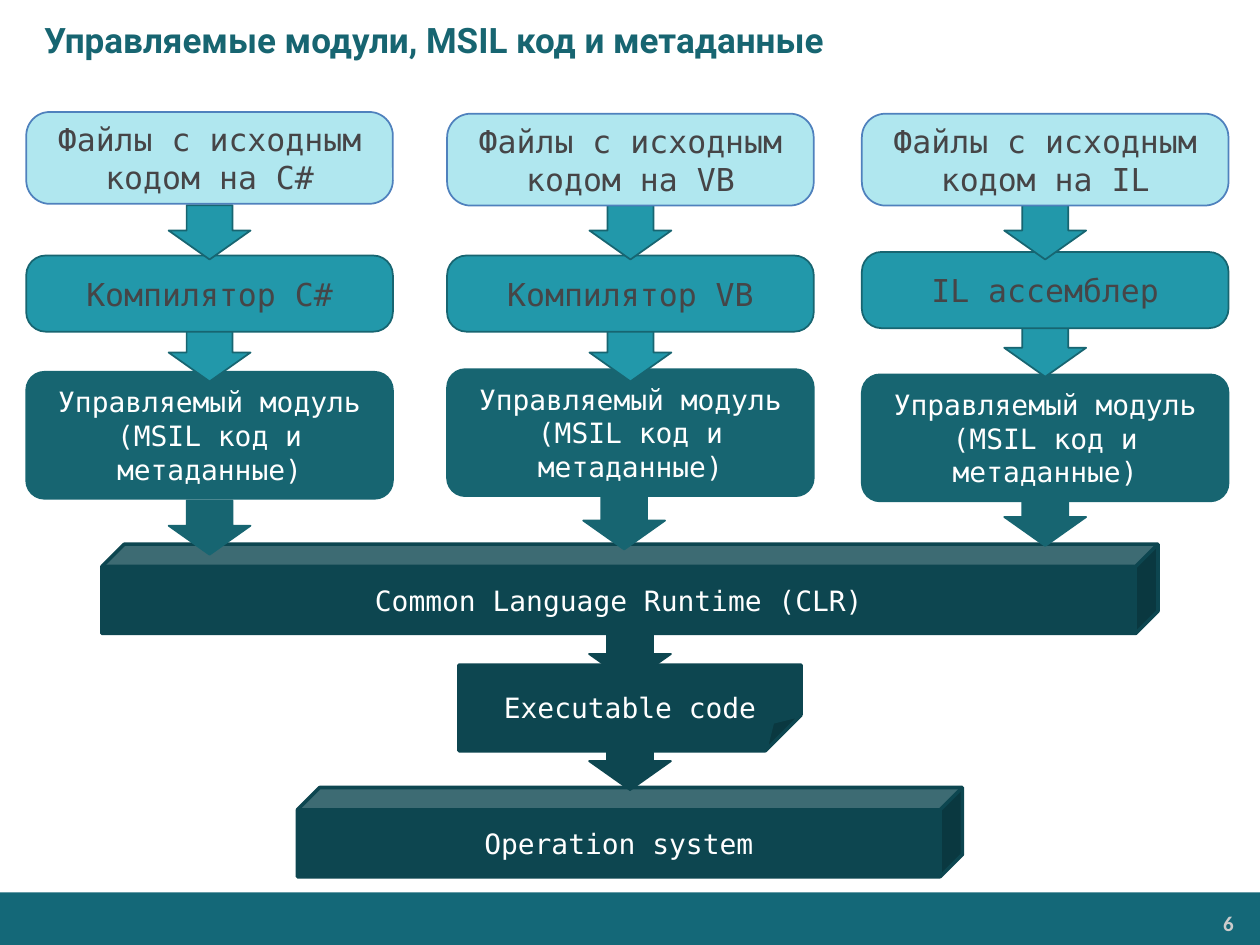
"""Build the slide on managed modules, MSIL code and metadata."""
from lxml.etree import SubElement
from pptx import Presentation
from pptx.dml.color import RGBColor
from pptx.enum.shapes import MSO_SHAPE as SHAPE
from pptx.enum.text import MSO_ANCHOR as ANCHOR, MSO_AUTO_SIZE as AUTO, PP_ALIGN as ALIGN
from pptx.oxml.ns import qn
from pptx.util import Pt

WHITE = RGBColor(0xFF, 0xFF, 0xFF)
GREY = RGBColor(0xCC, 0xCC, 0xCC)
TEXT = RGBColor(0x46, 0x45, 0x47)
PALE = RGBColor(0xB0, 0xE7, 0xEF)
BLUE = RGBColor(0x4F, 0x81, 0xBD)
TEAL = RGBColor(0x22, 0x98, 0xAA)
DEEP = RGBColor(0x17, 0x65, 0x71)
DARK = RGBColor(0x0D, 0x46, 0x50)
BAR = RGBColor(0x14, 0x68, 0x78)
MONO = "DejaVu Sans Mono"

TITLE = "Управляемые модули, MSIL код и метаданные"
PAGE = "6"
MODULE = ["Управляемый модуль", "(MSIL код и метаданные)"]
COLUMN_X, COLUMN_W = (15, 255.5, 492.5), 209.5
ARROW_W, ARROW_H = 46.8, 31

STAGES = [
    dict(texts=[["Файлы с исходным кодом на " + name] for name in ("С#", "VB", "IL")],
         tops=(64, 65, 65), h=52.5, adj=0.256, size=18, color=TEXT, fill=PALE, line=BLUE,
         arrow_tops=(117.3,) * 3, arrow_shift=(0, 0, 0), arrow_fill=TEAL),
    dict(texts=[["Компилятор С#"], ["Компилятор VB"], ["IL ассемблер"]],
         tops=(146, 146, 144), h=43.5, adj=0.256, size=18, color=TEXT, fill=TEAL, line=DEEP,
         arrow_tops=(187, 187, 184.3), arrow_shift=(0, 0, 0), arrow_fill=TEAL),
    dict(texts=[MODULE] * 3,
         tops=(212.5, 211, 214), h=72.5, adj=0.143, size=16, color=WHITE, fill=DEEP, line=DEEP,
         arrow_tops=(286, 283, 281), arrow_shift=(0, -3.6, 0), arrow_fill=DEEP),
]

CLR = (SHAPE.CUBE, "Common Language Runtime (CLR)", 311, 603.5, 51)
CODE = (SHAPE.FOLDED_CORNER, "Executable code", 380, 195.5, 49)
SYSTEM = (SHAPE.CUBE, "Operation system", 450, 380, 51)


def add_shape(s, kind, x, y, w, h, fill, line=None, line_w=1):
    sp = s.shapes.add_shape(kind, Pt(x), Pt(y), Pt(w), Pt(h))
    sp.shadow.inherit = False
    sp.fill.solid()
    sp.fill.fore_color.rgb = fill
    if line is None:
        sp.line.fill.background()
    else:
        sp.line.color.rgb = line
        sp.line.width = Pt(line_w)
    return sp


def set_margins(tf, left, top, right, bottom):
    tf.margin_left, tf.margin_top = Pt(left), Pt(top)
    tf.margin_right, tf.margin_bottom = Pt(right), Pt(bottom)


def write(tf, lines, size, color, font=MONO, bold=False, align=ALIGN.CENTER):
    tf.word_wrap = True
    tf.vertical_anchor = ANCHOR.MIDDLE
    for i, line in enumerate(lines):
        p = tf.paragraphs[0] if i == 0 else tf.add_paragraph()
        p.text = line
        p.alignment = align
        p.font.size, p.font.name, p.font.bold = Pt(size), font, bold
        p.font.color.rgb = color


def add_arrow(s, center, top, fill, line):
    x = center - ARROW_H / 2
    y = top + (ARROW_H - ARROW_W) / 2
    sp = add_shape(s, SHAPE.RIGHT_ARROW, x, y, ARROW_H, ARROW_W, fill, line)
    sp.rotation = 90
    sp.adjustments[0], sp.adjustments[1] = 0.561, 0.533


def add_block(s, block):
    kind, text, top, w, h = block
    sp = add_shape(s, kind, 360 - w / 2, top, w, h, DARK, DARK, 2)
    set_margins(sp.text_frame, 3.6, 3.6, 3.6, 3.6)
    if kind == SHAPE.FOLDED_CORNER:
        guides = next(sp._element.iter(qn("a:avLst")))
        SubElement(guides, qn("a:gd"), name="adj", fmla="val 41700")
        set_margins(sp.text_frame, 3.6, 20, 3.6, 0)
    write(sp.text_frame, [text], 16, WHITE)


def add_stage(s, stage):
    centers = [x + COLUMN_W / 2 for x in COLUMN_X]
    for center, shift, top in zip(centers, stage["arrow_shift"], stage["arrow_tops"]):
        add_arrow(s, center + shift, top, stage["arrow_fill"], DEEP)
    for x, top, lines in zip(COLUMN_X, stage["tops"], stage["texts"]):
        sp = add_shape(s, SHAPE.ROUNDED_RECTANGLE, x, top, COLUMN_W, stage["h"],
                       stage["fill"], stage["line"])
        sp.adjustments[0] = stage["adj"]
        set_margins(sp.text_frame, 0, 0, 0, 0)
        write(sp.text_frame, lines, stage["size"], stage["color"])


def add_title(s):
    sp = s.shapes.title
    sp.left, sp.top, sp.width, sp.height = Pt(0), Pt(0), Pt(720), Pt(45.5)
    tf = sp.text_frame
    tf.auto_size = AUTO.NONE
    write(tf, [TITLE], 20, DEEP, "Roboto", True, ALIGN.LEFT)
    pPr = tf.paragraphs[0]._p.get_or_add_pPr()
    pPr.set("marL", str(Pt(18)))
    pPr.set("indent", "0")


def add_footer(s):
    add_shape(s, SHAPE.RECTANGLE, 0, 510, 720, 30, BAR)
    tf = s.shapes.add_textbox(Pt(592.5), Pt(517.5), Pt(117.5), Pt(20)).text_frame
    set_margins(tf, 5, 3, 5, 3)
    write(tf, [PAGE], 12, GREY, "Calibri", True, ALIGN.RIGHT)


def main():
    prs = Presentation()
    prs.slide_width, prs.slide_height = Pt(720), Pt(540)
    s = prs.slides.add_slide(prs.slide_layouts[5])
    add_title(s)
    add_footer(s)
    add_block(s, SYSTEM)
    add_arrow(s, 360, 420.5, DARK, DARK)
    add_block(s, CODE)
    add_block(s, CLR)
    for stage in reversed(STAGES):
        add_stage(s, stage)
    add_arrow(s, 360, 359.3, DARK, DARK)
    prs.save("out.pptx")


if __name__ == "__main__":
    main()
